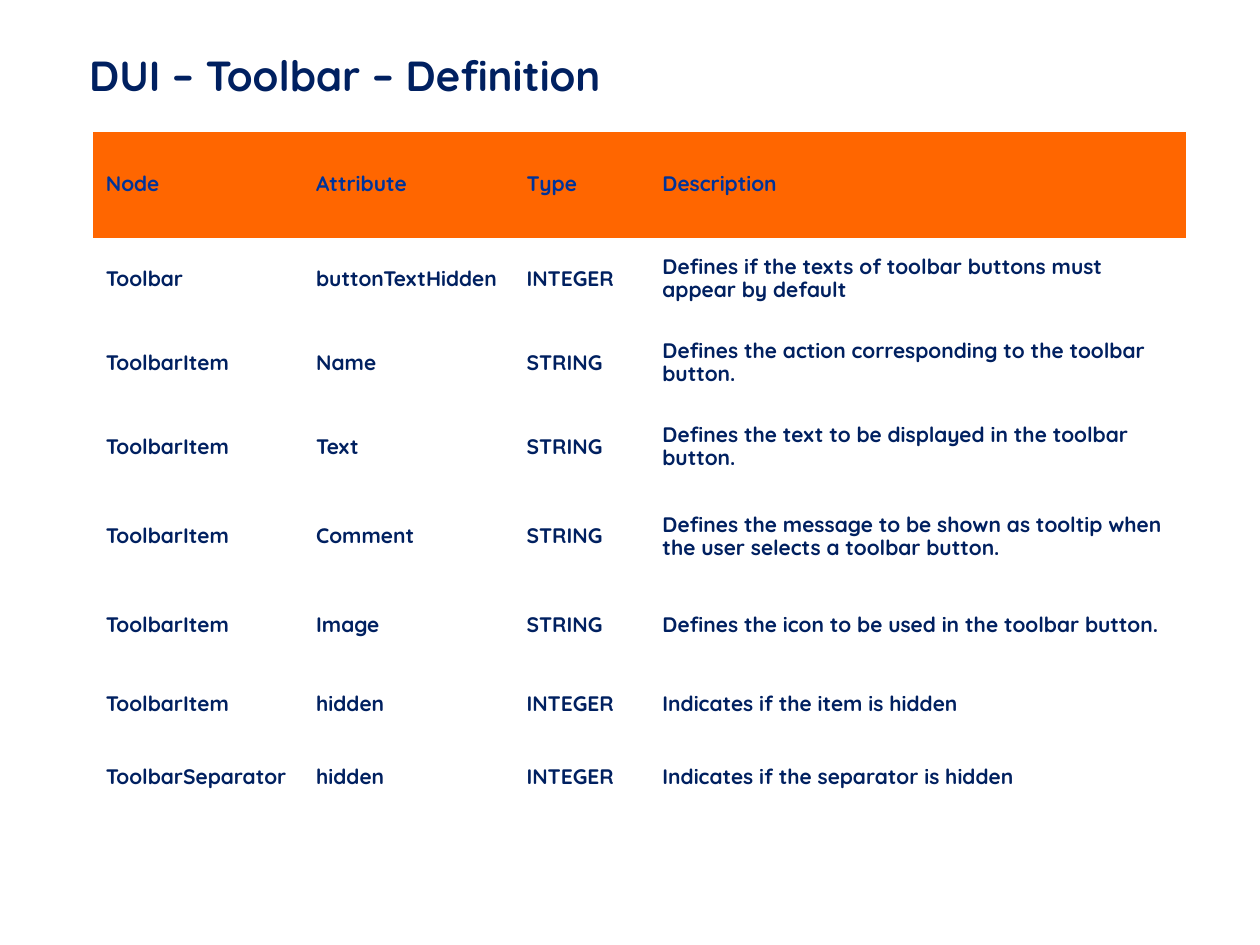
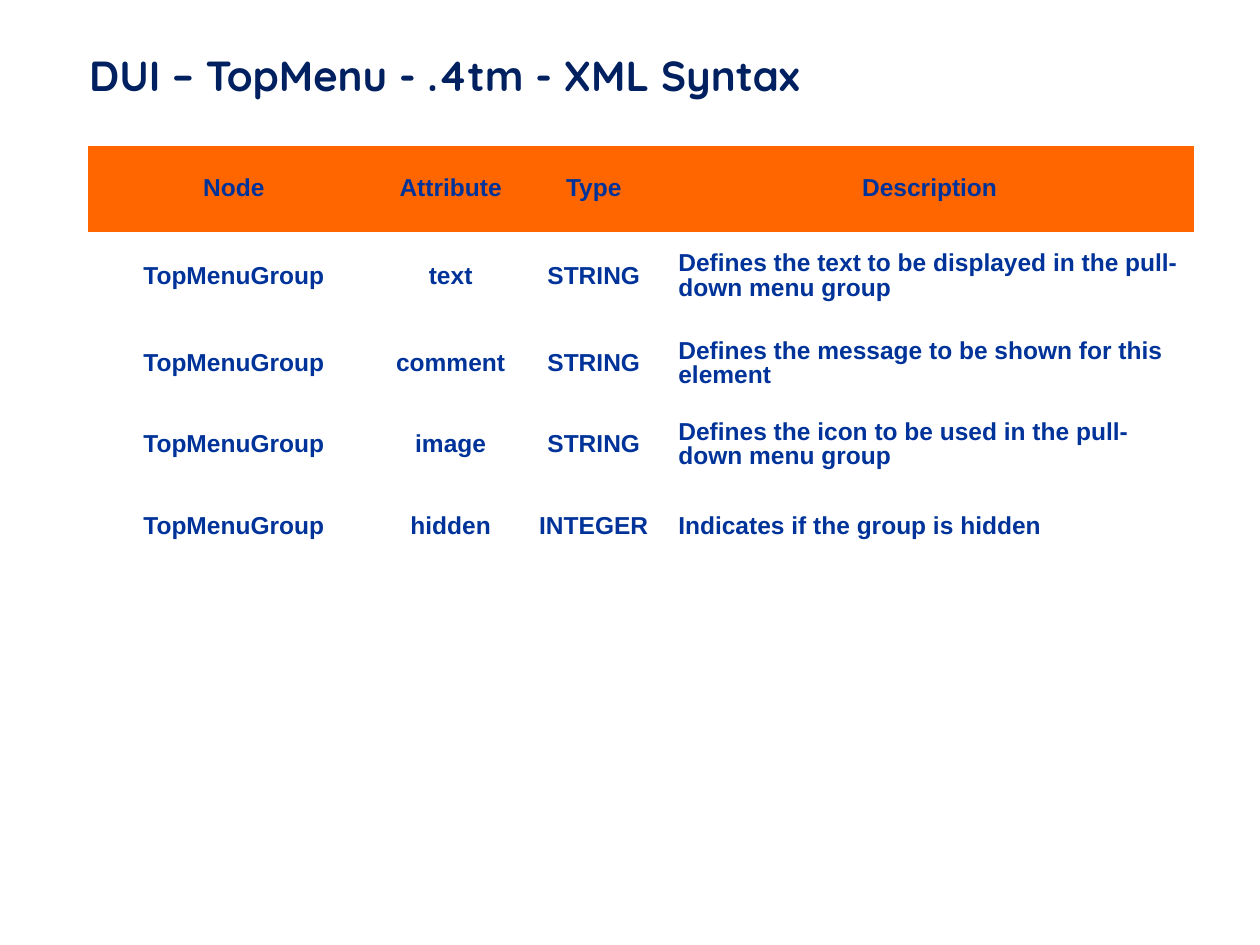
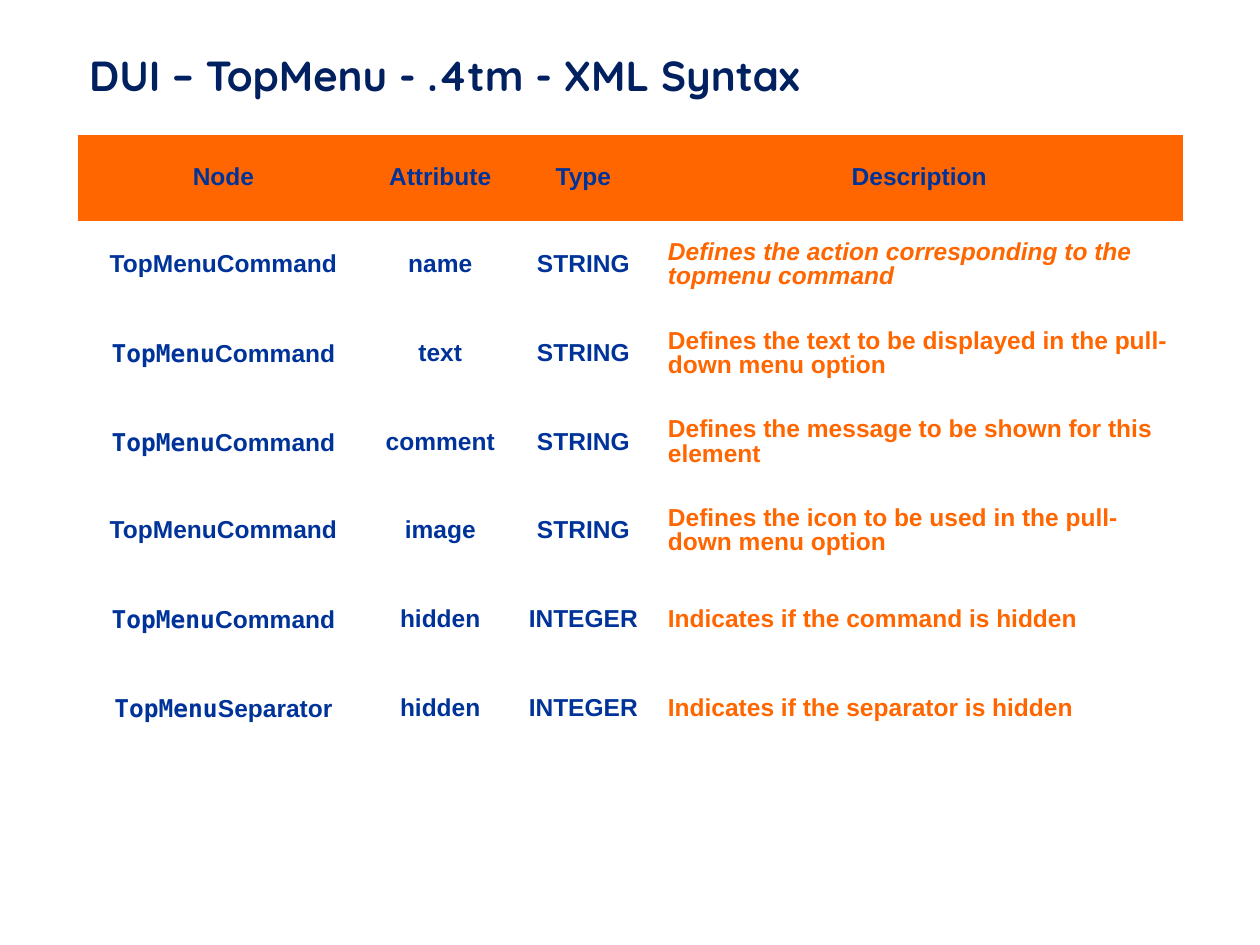
from pptx import Presentation
from pptx.dml.color import RGBColor
from pptx.enum.text import MSO_ANCHOR, PP_ALIGN
from pptx.oxml.ns import qn
from pptx.util import Cm, Pt

COLORS = {"navy": "002060", "blue": "003399", "orange": "FF6600", "white": "FFFFFF"}
NO_STYLE = "{2D5ABB26-0587-4C30-8999-92F81FD0307C}"
MONO = "DejaVu Sans Mono"
HEADER = ("Node", "Attribute", "Type", "Description")

TOOLBAR_STYLE = {
    "font": "Quicksand", "size": 12, "body": "navy", "description": "navy",
    "align": PP_ALIGN.LEFT, "cols": (4.24, 4.24, 2.74, 10.8),
}
MENU_STYLE = {
    "font": "Arial", "size": 14, "body": "blue", "description": "blue",
    "align": PP_ALIGN.CENTER, "cols": (5.87, 2.87, 2.9, 10.64),
}
COMMAND_STYLE = {**MENU_STYLE, "description": "orange", "italic_row": 1}

# A bar in a node name ends its monospaced part.
SLIDES = [
    {
        "title": "DUI – Toolbar – Definition",
        "style": TOOLBAR_STYLE,
        "at": (1.88, 2.66),
        "heights": (2.13, 1.68, 1.7, 1.7, 1.9, 1.7, 1.47, 1.47),
        "rows": [
            ("Toolbar", "buttonTextHidden", "INTEGER",
             "Defines if the texts of toolbar buttons must appear by default"),
            ("ToolbarItem", "Name", "STRING",
             "Defines the action corresponding to the toolbar button."),
            ("ToolbarItem", "Text", "STRING",
             "Defines the text to be displayed in the toolbar button."),
            ("ToolbarItem", "Comment", "STRING",
             "Defines the message to be shown as tooltip when the user selects a toolbar button."),
            ("ToolbarItem", "Image", "STRING",
             "Defines the icon to be used in the toolbar button."),
            ("ToolbarItem", "hidden", "INTEGER", "Indicates if the item is hidden"),
            ("ToolbarSeparator", "hidden", "INTEGER", "Indicates if the separator is hidden"),
        ],
    },
    {
        "title": "DUI – TopMenu - .4tm - XML Syntax",
        "style": MENU_STYLE,
        "at": (1.78, 2.95),
        "heights": (1.73, 1.8, 1.73, 1.52, 1.8),
        "rows": [
            ("TopMenuGroup", "text", "STRING",
             "Defines the text to be displayed in the pull-down menu group"),
            ("TopMenuGroup", "comment", "STRING",
             "Defines the message to be shown for this element"),
            ("TopMenuGroup", "image", "STRING",
             "Defines the icon to be used in the pull-down menu group"),
            ("TopMenuGroup", "hidden", "INTEGER", "Indicates if the group is hidden"),
        ],
    },
    {
        "title": "DUI – TopMenu - .4tm - XML Syntax",
        "style": COMMAND_STYLE,
        "at": (1.57, 2.72),
        "heights": (1.73,) + (1.79,) * 6,
        "rows": [
            ("TopMenuCommand", "name", "STRING",
             "Defines the action corresponding to the topmenu command"),
            ("TopMenu|Command", "text", "STRING",
             "Defines the text to be displayed in the pull-down menu option"),
            ("TopMenu|Command", "comment", "STRING",
             "Defines the message to be shown for this element"),
            ("TopMenuCommand", "image", "STRING",
             "Defines the icon to be used in the pull-down menu option"),
            ("TopMenu|Command", "hidden", "INTEGER", "Indicates if the command is hidden"),
            ("TopMenu|Separator", "hidden", "INTEGER", "Indicates if the separator is hidden"),
        ],
    },
]


def rgb(name):
    return RGBColor.from_string(COLORS[name])


def format_run(r, font, size, color, italic=False):
    r.font.name = font
    r.font.size = Pt(size)
    r.font.bold = True
    r.font.italic = italic
    r.font.color.rgb = rgb(color)


def add_title(slide, text):
    tf = slide.shapes.add_textbox(Cm(1.8), Cm(0.61), Cm(21.69), Cm(1.8)).text_frame
    tf.margin_left = tf.margin_right = tf.margin_top = tf.margin_bottom = 0
    tf.word_wrap = True
    tf.vertical_anchor = MSO_ANCHOR.MIDDLE
    tf.text = text
    format_run(tf.paragraphs[0].runs[0], "Quicksand", 24, "navy")


def fill_cell(cell, text, style, row, col):
    is_header = row == 0
    is_description = col == len(HEADER) - 1 and not is_header
    cell.fill.solid()
    cell.fill.fore_color.rgb = rgb("orange" if is_header else "white")
    cell.vertical_anchor = MSO_ANCHOR.MIDDLE
    color = "blue" if is_header else style["description" if is_description else "body"]
    italic = is_description and row == style.get("italic_row")

    p = cell.text_frame.paragraphs[0]
    p.alignment = PP_ALIGN.LEFT if is_description else style["align"]
    mono, bar, rest = text.rpartition("|")
    p.line_spacing = 0.96 if bar else 0.88
    for part, font in ((mono, MONO), (rest, style["font"])):
        if part:
            r = p.add_run()
            r.text = part
            format_run(r, font, style["size"], color, italic)


def add_definitions(slide, content):
    style, heights = content["style"], content["heights"]
    rows = [HEADER] + content["rows"]
    left, top = content["at"]
    frame = slide.shapes.add_table(len(rows), len(HEADER), Cm(left), Cm(top),
                                   Cm(sum(style["cols"])), Cm(sum(heights)))
    next(frame.element.iter(qn("a:tableStyleId"))).text = NO_STYLE
    table = frame.table
    table.horz_banding = False
    for column, width in zip(table.columns, style["cols"]):
        column.width = Cm(width)
    for i, (texts, height) in enumerate(zip(rows, heights)):
        table.rows[i].height = Cm(height)
        for j, text in enumerate(texts):
            fill_cell(table.cell(i, j), text, style, i, j)


def main():
    prs = Presentation()
    prs.slide_width, prs.slide_height = Cm(25.4), Cm(19.05)
    for content in SLIDES:
        slide = prs.slides.add_slide(prs.slide_layouts[6])
        add_title(slide, content["title"])
        add_definitions(slide, content)
    prs.save("out.pptx")


if __name__ == "__main__":
    main()
